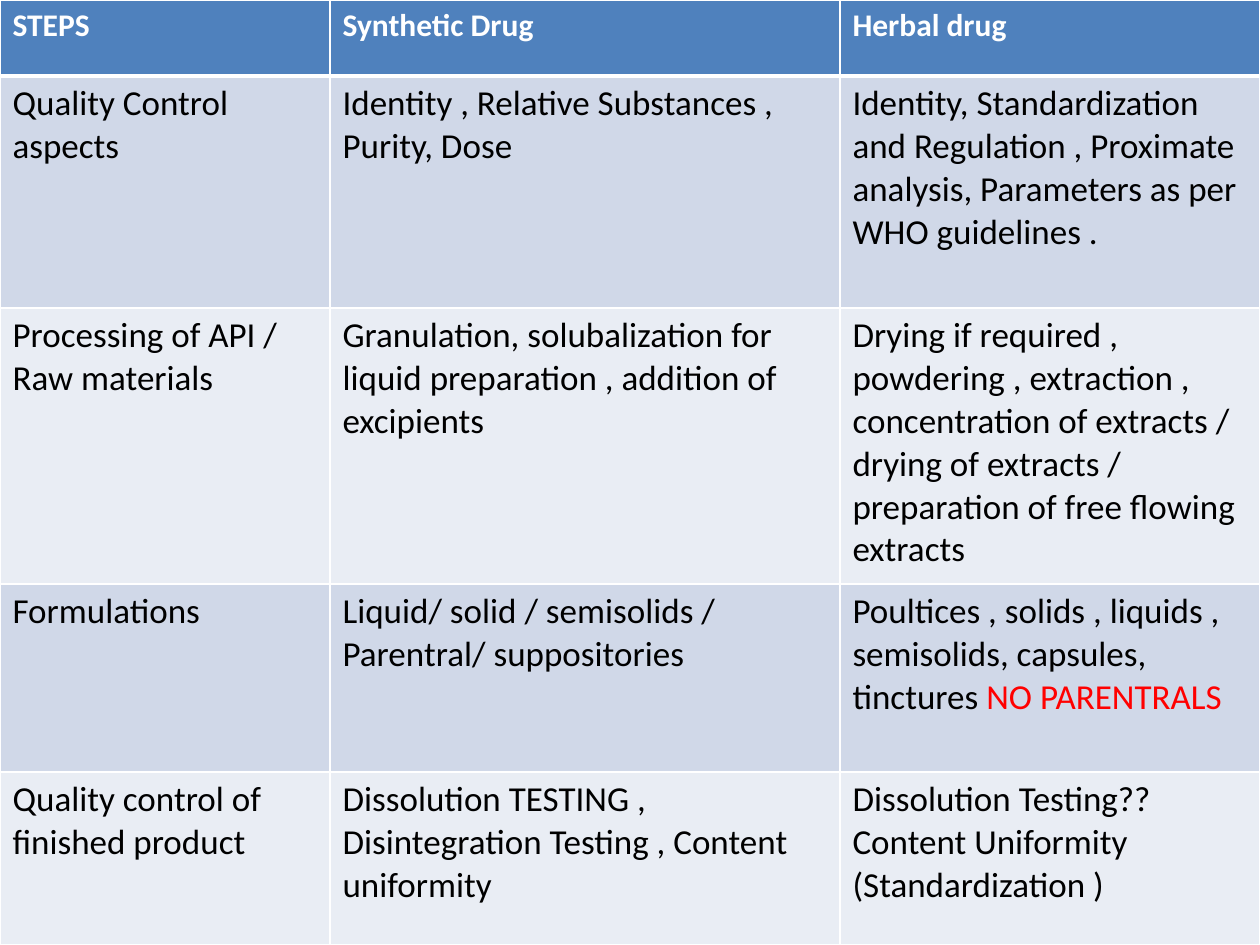
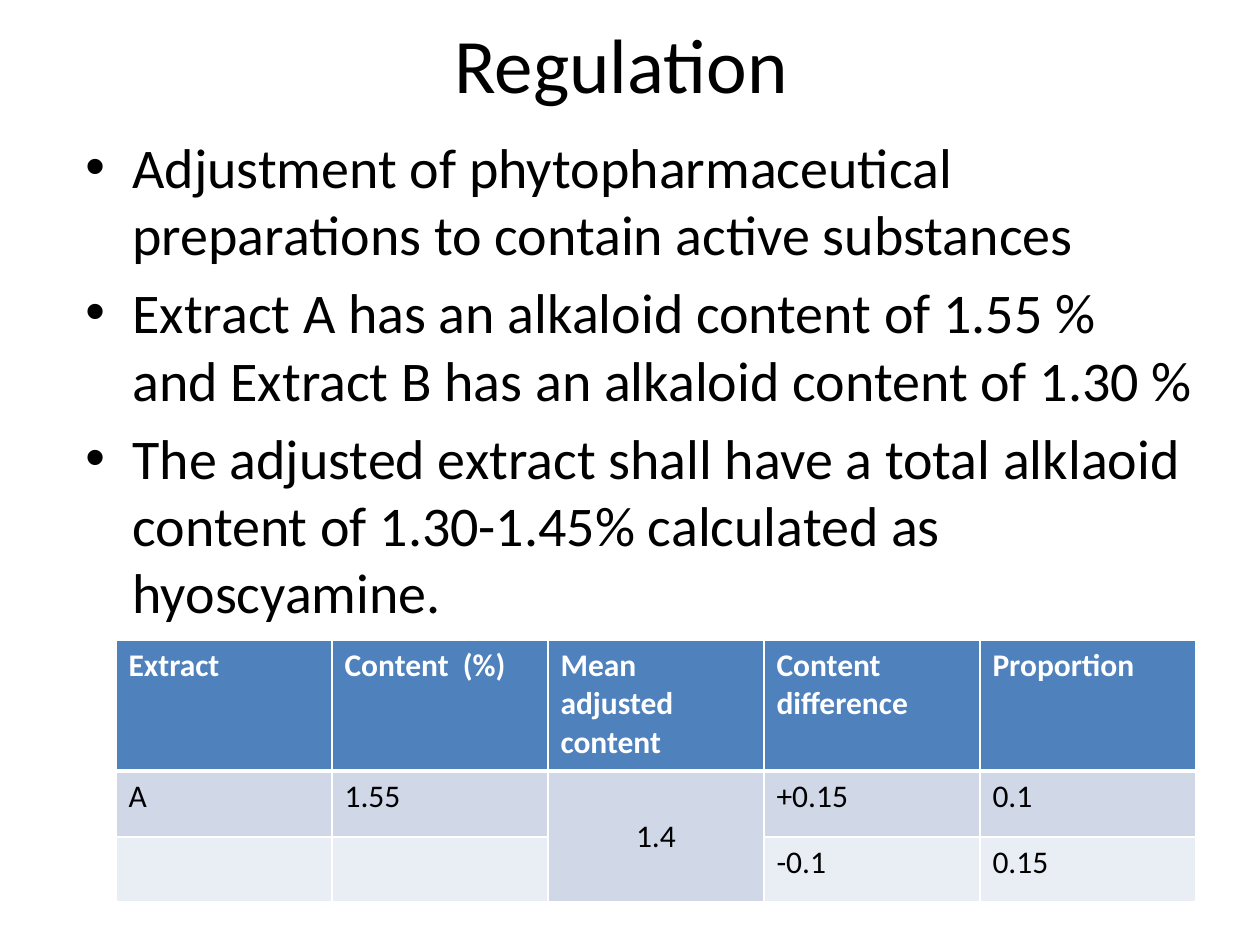
from pptx import Presentation
from pptx.dml.color import RGBColor
from pptx.enum.text import MSO_ANCHOR, PP_ALIGN
from pptx.oxml.ns import qn
from pptx.util import Emu, Pt
from lxml.etree import SubElement

PIXELS_PER_INCH = 126
FONT = "Calibri"
BLACK = "000000"
WHITE = "FFFFFF"
RED = "FF0000"
HEADER_FILL = "4F81BD"
BAND_FILLS = ["E9EDF4", "D0D8E8"]

COMPARISON = [
    ["STEPS", "Synthetic Drug", "Herbal drug"],
    ["Quality Control aspects",
     "Identity , Relative Substances , Purity, Dose",
     "Identity, Standardization and Regulation , Proximate analysis, "
     "Parameters as per WHO guidelines ."],
    ["Processing of API / Raw materials",
     "Granulation, solubalization for liquid preparation , addition of excipients",
     "Drying if required , powdering , extraction , concentration of extracts / "
     "drying of extracts / preparation of free flowing extracts"],
    ["Formulations",
     "Liquid/ solid / semisolids / Parentral/ suppositories",
     "Poultices , solids , liquids , semisolids, capsules, tinctures "],
    ["Quality control of finished product",
     "Dissolution TESTING , Disintegration Testing , Content uniformity",
     "Dissolution Testing??\nContent Uniformity (Standardization )"],
]

REGULATION_POINTS = [
    "Adjustment of phytopharmaceutical preparations to contain active substances",
    "Extract A has an alkaloid content of 1.55 % and Extract B has an alkaloid content of 1.30 %",
    "The adjusted extract shall have a total alklaoid content of 1.30-1.45% "
    "calculated as hyoscyamine.",
]

EXTRACTS = [
    ["Extract", "Content  (%)", "Mean adjusted content", "Content difference", "Proportion"],
    ["A", "1.55", "1.4", "+0.15", "0.1"],
    ["", "", "", "-0.1", "0.15"],
]


def px(length):
    return Emu(round(length * 914400 / PIXELS_PER_INCH))


def rgb(color):
    return RGBColor.from_string(color)


def add_text(paragraph, text, size=18, color=BLACK, bold=False):
    run = paragraph.add_run()
    run.text = text
    run.font.name = FONT
    run.font.size = Pt(size)
    run.font.bold = bold
    run.font.color.rgb = rgb(color)


def write_text(text_frame, text, align=PP_ALIGN.LEFT, **text_format):
    for index, line in enumerate(text.split("\n")):
        paragraph = text_frame.add_paragraph() if index else text_frame.paragraphs[0]
        paragraph.alignment = align
        if line:
            add_text(paragraph, line, **text_format)


def add_bullet(paragraph, indent):
    properties = paragraph._p.get_or_add_pPr()
    properties.set("marL", str(px(indent)))
    properties.set("indent", str(-px(indent)))
    SubElement(properties, qn("a:buFont"), typeface="Arial")
    SubElement(properties, qn("a:buChar"), char="•")


def set_borders(cell, **widths):
    properties = cell._tc.get_or_add_tcPr()
    for side in "LRTB":
        line = SubElement(properties, qn(f"a:ln{side}"), w=str(Pt(widths.get(side, 1))))
        fill = SubElement(line, qn("a:solidFill"))
        SubElement(fill, qn("a:srgbClr"), val=WHITE)


class Deck:
    def __init__(self, width, height):
        self.presentation = Presentation()
        self.presentation.slide_width = px(width)
        self.presentation.slide_height = px(height)
        self.slide = None

    def new_slide(self, layout_name):
        layout = self.presentation.slide_layouts.get_by_name(layout_name)
        self.slide = self.presentation.slides.add_slide(layout)

    def title(self, text, left, top, width, height):
        title = self.slide.shapes.title
        title.left, title.top, title.width, title.height = map(px, (left, top, width, height))
        title.text_frame.vertical_anchor = MSO_ANCHOR.MIDDLE
        write_text(title.text_frame, text, align=PP_ALIGN.CENTER, size=44)

    def bullets(self, lines, left, top, width, height, size=32, indent=47):
        box = self.slide.shapes.add_textbox(*map(px, (left, top, width, height)))
        box.text_frame.word_wrap = True
        write_text(box.text_frame, "\n".join(lines), size=size)
        for index, paragraph in enumerate(box.text_frame.paragraphs):
            if index:
                paragraph.space_before = Pt(size * 0.2)
            add_bullet(paragraph, indent)

    def table(self, rows, left, top, widths, heights, size=18):
        area = map(px, (left, top, sum(widths), sum(heights)))
        table = self.slide.shapes.add_table(len(rows), len(widths), *area).table
        table.first_row = table.horz_banding = False
        for column, width in zip(table.columns, widths):
            column.width = px(width)
        for row_index, (row, height) in enumerate(zip(rows, heights)):
            table.rows[row_index].height = px(height)
            for column_index, text in enumerate(row):
                cell = table.cell(row_index, column_index)
                self.style_cell(cell, row_index)
                if row_index == 0:
                    write_text(cell.text_frame, text, color=WHITE, bold=True)
                else:
                    write_text(cell.text_frame, text, size=size)
        return table

    def style_cell(self, cell, row_index):
        set_borders(cell, T=3 if row_index == 1 else 1, B=3 if row_index == 0 else 1)
        cell.fill.solid()
        cell.fill.fore_color.rgb = rgb(BAND_FILLS[row_index % 2] if row_index else HEADER_FILL)


def build_comparison(deck):
    deck.new_slide("Blank")
    table = deck.table(COMPARISON, 0, 0, [330, 510, 420], [76, 232, 276, 188, 173], size=20)
    herbal_formulations = table.cell(3, 2).text_frame.paragraphs[0]
    add_text(herbal_formulations, "NO PARENTRALS", size=20, color=RED)


def build_regulation(deck):
    deck.new_slide("Title Only")
    deck.title("Regulation ", 63, 0, 1134, 126)
    deck.bullets(REGULATION_POINTS, 73, 126, 1134, 525)
    table = deck.table(EXTRACTS, 116, 640, [216] * 5, [131, 66, 65])
    mean_content = table.cell(1, 2)
    mean_content.merge(table.cell(2, 2))
    mean_content.vertical_anchor = MSO_ANCHOR.MIDDLE
    mean_content.text_frame.paragraphs[0].alignment = PP_ALIGN.CENTER


def main():
    deck = Deck(1260, 945)
    build_comparison(deck)
    build_regulation(deck)
    deck.presentation.save("out.pptx")


if __name__ == "__main__":
    main()
